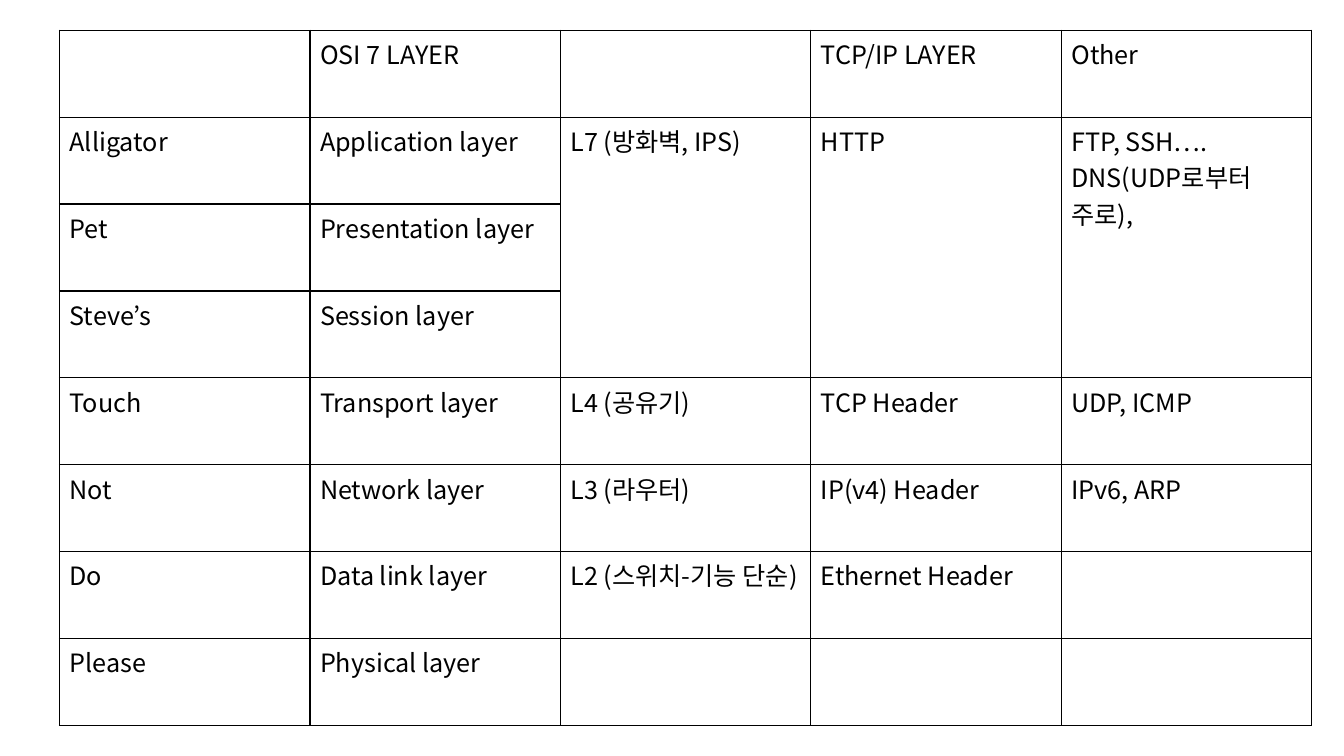
from pptx import Presentation
from pptx.dml.color import RGBColor as RGB
from pptx.oxml.ns import qn
from pptx.util import Inches, Pt
from lxml.etree import SubElement as Sub

theme = {"ink": "000000", "font": "Noto Sans CJK KR", "size": 18, "line": 1}

rows = [
    ["", "OSI 7 LAYER", "", "TCP/IP LAYER", "Other"],
    ["Alligator", "Application layer", "L7 (방화벽, IPS)", "HTTP",
     "FTP, SSH….\vDNS(UDP로부터 주로),"],
    ["Pet", "Presentation layer", "", "", ""],
    ["Steve’s", "Session layer", "", "", ""],
    ["Touch", "Transport layer", "L4 (공유기)", "TCP Header", "UDP, ICMP"],
    ["Not", "Network layer", "L3 (라우터)", "IP(v4) Header", "IPv6, ARP"],
    ["Do", "Data link layer", "L2 (스위치-기능 단순)", "Ethernet Header", ""],
    ["Please", "Physical layer", "", "", ""],
]

# Blank slide
deck = Presentation()
deck.slide_width, deck.slide_height = Inches(13.33), Inches(7.5)
slide = deck.slides.add_slide(deck.slide_layouts[6])

# Layer table with even rows and columns
frame = slide.shapes.add_table(
    len(rows), len(rows[0]),
    Inches(0.59), Inches(0.3), Inches(12.42), Inches(6.9))
table = frame.table
table.first_row = table.horz_banding = False

# Cell text, borders and fill
for r, row in enumerate(rows):
    for c, text in enumerate(row):
        cell = table.cell(r, c)
        cell.text = text
        para = cell.text_frame.paragraphs[0]
        for part in [para, *para.runs]:
            look = {"name": theme["font"], "size": Pt(theme["size"]), "bold": False}
            for key, value in look.items():
                setattr(part.font, key, value)
            part.font.color.rgb = RGB.from_string(theme["ink"])
        for run in para.runs:
            Sub(run.font._element, qn("a:ea"), typeface=theme["font"])
        props = cell._tc.get_or_add_tcPr()
        for side in ("lnL", "lnR", "lnT", "lnB"):
            line = Sub(props, qn(f"a:{side}"), w=str(Pt(theme["line"])))
            Sub(Sub(line, qn("a:solidFill")), qn("a:srgbClr"), val=theme["ink"])
        cell.fill.background()

# The top three layers share their right-hand cells
for c in range(2, 5):
    table.cell(1, c).merge(table.cell(3, c))

deck.save("out.pptx")
